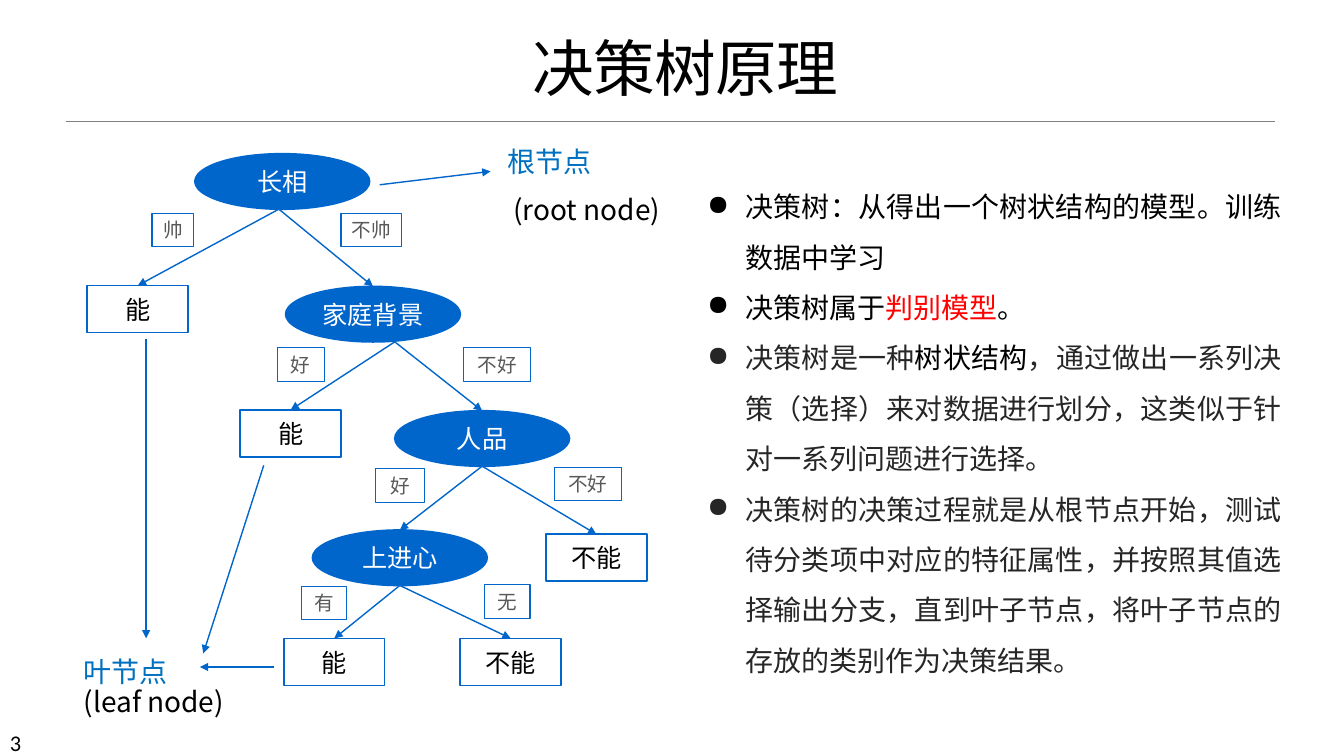
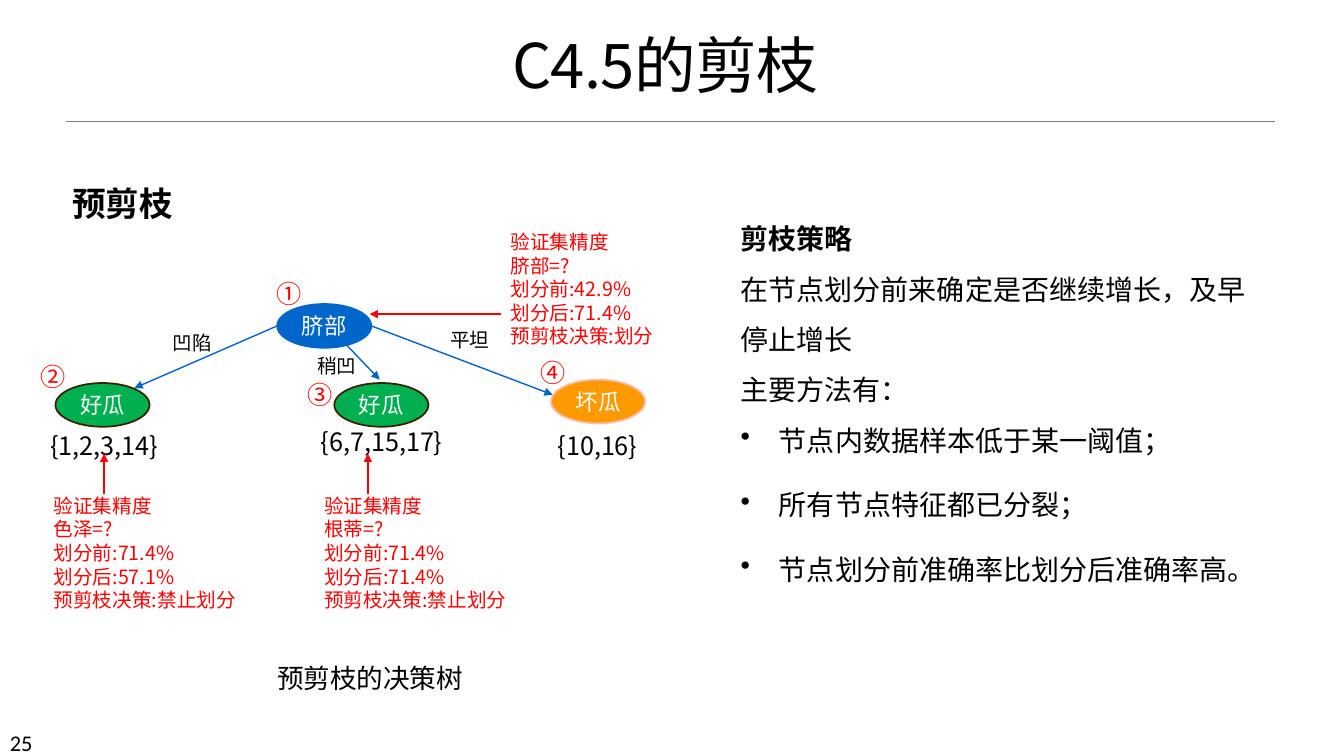
import lxml.etree
import pptx
import pptx.dml.color
import pptx.enum.shapes
import pptx.enum.text
import pptx.oxml.ns
import pptx.util

COLS, ROWS = 80, 45
CELL = pptx.util.Pt(12)
FONT, NUMBER_FONT = "Noto Sans CJK SC", "Calibri"
BLUE, SKY, GREEN, ORANGE = "0066CC", "0070C0", "00B050", "FF9900"
BROWN, PEACH, RED = "392104", "FBBCA3", "FF0000"
BLACK, INK, GREY, RULE, WHITE = "000000", "262626", "595959", "808080", "FFFFFF"

SHAPE = pptx.enum.shapes.MSO_SHAPE
ALIGN = pptx.enum.text.PP_ALIGN
ANCHOR = pptx.enum.text.MSO_ANCHOR
CENTER, JUSTIFY = ALIGN.CENTER, ALIGN.JUSTIFY


def grid(*cells):
    """Turn counts of grid cells into lengths."""
    return [round(n * CELL) for n in cells]


def rgb(color):
    return pptx.dml.color.RGBColor.from_string(color)


def sub(parent, tag, **attrs):
    return lxml.etree.SubElement(parent, pptx.oxml.ns.qn(tag), attrs)


def set_bullet(p, char):
    pPr = p._p.get_or_add_pPr()
    hang = pptx.util.Inches(0.38)
    pPr.set("marL", str(hang))
    pPr.set("indent", str(-hang))
    sub(pPr, "a:buChar", char=char)


def write(tf, text, size=20, color=BLACK, bold=False, font=FONT, align=None,
          leading=None, before=None, after=None, bullet=None, left=None, tracking=None):
    """Add one paragraph per line; text may also be one paragraph of (text, colour) runs."""
    lines = text.split("\n") if isinstance(text, str) else [text]
    for line in lines:
        p = tf.paragraphs[0]
        if p.runs:
            p = tf.add_paragraph()
        if bullet:
            set_bullet(p, bullet)
        if left:
            p._p.get_or_add_pPr().set("marL", str(pptx.util.Inches(left)))
        p.alignment, p.line_spacing = align, leading
        if before:
            p.space_before = pptx.util.Pt(before)
        if after:
            p.space_after = pptx.util.Pt(after)
        for words, tint in [(line, color)] if isinstance(line, str) else line:
            r = p.add_run()
            r.text = words
            r.font.size = pptx.util.Pt(size)
            r.font.bold = bold
            r.font.color.rgb = rgb(tint)
            r.font.name = font
            rPr = r._r.get_or_add_rPr()
            sub(rPr, "a:ea", typeface=font)
            if tracking:
                rPr.set("spc", str(round(tracking * 100)))


def text_box(s, x, y, w, h, text=None, **fmt):
    tf = s.shapes.add_textbox(*grid(x, y, w, h)).text_frame
    tf.word_wrap = True
    if text:
        write(tf, text, **fmt)
    return tf


def shape(s, kind, cx, cy, w, h, text, fill=None, line=BLUE, width=1.25, **fmt):
    """Add a centred, labelled shape around the point (cx, cy)."""
    sp = s.shapes.add_shape(kind, *grid(cx - w / 2, cy - h / 2, w, h))
    sp.shadow.inherit = False
    if fill:
        sp.fill.solid()
        sp.fill.fore_color.rgb = rgb(fill)
    else:
        sp.fill.background()
    sp.line.color.rgb = rgb(line)
    sp.line.width = pptx.util.Pt(width)
    tf = sp.text_frame
    tf.vertical_anchor = ANCHOR.MIDDLE
    tf.word_wrap = True
    write(tf, text, align=CENTER, **fmt)


def line(s, x1, y1, x2, y2, color=BLUE, width=1, arrow=True):
    c = s.shapes.add_connector(pptx.enum.shapes.MSO_CONNECTOR.STRAIGHT, *grid(x1, y1, x2, y2))
    c.line.color.rgb = rgb(color)
    c.line.width = pptx.util.Pt(width)
    spPr = c._element.spPr
    if arrow:
        sub(spPr.find(pptx.oxml.ns.qn("a:ln")), "a:tailEnd", type="triangle")
    sub(spPr, "a:effectLst")


def new_slide(prs, title, box, number):
    """Start a slide with its title, the rule below it and the page number."""
    s = prs.slides.add_slide(prs.slide_layouts[5])
    sp = s.shapes.title
    sp.left, sp.top, sp.width, sp.height = grid(*box)
    tf = sp.text_frame
    tf.auto_size = pptx.enum.text.MSO_AUTO_SIZE.NONE
    tf.vertical_anchor = ANCHOR.BOTTOM
    write(tf, title, size=44, align=CENTER, leading=0.85, tracking=-0.5)
    line(s, 3.9, 7.2, 75.9, 7.2, color=RULE, width=0.5, arrow=False)
    text_box(s, 0, 43.1, 7, 1.8, str(number), size=16, font=NUMBER_FONT)
    return s


def decision_tree(s):
    test_w, test_h, leaf_w, leaf_h = 10.4, 3.3, 6, 2.8
    # name: text, centre x, centre y, x where its branches fork
    tests = {
        "looks": ("长相", 16.8, 10.8, 16.6),
        "family": ("家庭背景", 22.2, 18.7, 23.5),
        "character": ("人品", 28.7, 26.1, 28.7),
        "ambition": ("上进心", 23.8, 33.2, 23.8),
    }
    leaves = {
        "plain yes": ("能", 8.2, 18.4),
        "family yes": ("能", 17.3, 25.8),
        "character no": ("不能", 35.5, 33.2),
        "ambition yes": ("能", 19.9, 39.4),
        "ambition no": ("不能", 30.4, 39.4),
    }
    # parent, child, answer, centre x and y of the answer, its width
    branches = [
        ("looks", "plain yes", "帅", 10.3, 13.7, 2.5),
        ("looks", "family", "不帅", 22.1, 13.7, 3.6),
        ("family", "family yes", "好", 17.9, 21.7, 2.8),
        ("family", "character", "不好", 29.6, 21.7, 4),
        ("character", "ambition", "好", 23.8, 28.9, 2.9),
        ("character", "character no", "不好", 35, 28.8, 4),
        ("ambition", "ambition yes", "有", 19.3, 35.9, 2.7),
        ("ambition", "ambition no", "无", 30.2, 35.8, 2.7),
    ]
    for text, x, y, _ in tests.values():
        shape(s, SHAPE.OVAL, x, y, test_w, test_h, text, fill=BLUE, size=18, color=WHITE)
    for text, x, y in leaves.values():
        shape(s, SHAPE.RECTANGLE, x, y, leaf_w, leaf_h, text, fill=WHITE, size=18)
    for parent, child, answer, x, y, w in branches:
        _, _, parent_y, fork_x = tests[parent]
        child_x, child_y = (tests.get(child) or leaves[child])[1:3]
        child_h = test_h if child in tests else leaf_h
        line(s, fork_x, parent_y + test_h / 2, child_x, child_y - child_h / 2)
        shape(s, SHAPE.RECTANGLE, x, y, w, 2, answer, width=0.75, size=14, color=GREY)


def principle_slide(prs):
    s = new_slide(prs, "决策树原理", (3, 2, 75.6, 4.5), 3)
    decision_tree(s)
    for ends in [(22.6, 11, 29.2, 10.2), (8.7, 20.2, 8.7, 38),
                 (15.7, 27.7, 12.1, 38.9), (16.3, 39.7, 11.9, 39.7)]:
        line(s, *ends)

    tf = text_box(s, 29.6, 8.3, 11.2, 5.6, "根节点", color=SKY)
    write(tf, "(root node)", before=10, left=0.06)
    tf = text_box(s, 4.4, 39.5, 12, 3.8, "叶节点", color=SKY, leading=0.5)
    write(tf, "(leaf node)", before=10, leading=0.5)

    tf = text_box(s, 41.5, 10, 35.4, 30.6)
    for runs in [
        [("决策树：从得出一个树状结构的模型。训练数据中学习", BLACK)],
        [("决策树属于", BLACK), ("判别模型", RED), ("。", BLACK)],
        [("决策树是一种", INK), ("树状结构", BLACK),
         ("，通过做出一系列决策（选择）来对数据进行划分，这类似于针对一系列问题进行选择。", INK)],
        [("决策树的决策过程就是从根节点开始，测试待分类项中对应的特征属性，"
          "并按照其值选择输出分支，直到叶子节点，将叶子节点的存放的类别作为决策结果。", INK)],
    ]:
        write(tf, runs, align=JUSTIFY, leading=1.5, bullet="●")


def accuracy_note(s, x, y, w, feature, before, after, decision):
    text = f"验证集精度\n{feature}=?\n划分前:{before}%\n划分后:{after}%\n预剪枝决策:{decision}"
    text_box(s, x, y, w, 7.7, text, size=14, color=RED)


def pruning_slide(prs):
    s = new_slide(prs, "C4.5的剪枝", (2.3, 1.4, 74.6, 4.9), 25)
    text_box(s, 3.7, 9.4, 7.5, 3.7, "预剪枝", size=24, bold=True, leading=1.5)

    for ends in [(16.5, 19.4, 8, 23.1), (22.1, 19.4, 32.9, 23.5), (18.4, 18.2, 22.6, 22.6)]:
        line(s, *ends)
    for text, x, y, fill, edge in [
        ("脐部", 19.3, 19.4, BLUE, BLUE),
        ("好瓜", 6.1, 24.1, GREEN, BROWN),
        ("好瓜", 22.7, 24.1, GREEN, BROWN),
        ("坏瓜", 35.6, 23.9, ORANGE, PEACH),
    ]:
        shape(s, SHAPE.OVAL, x, y, 5.6, 2.6, text, fill=fill, line=edge, size=16, color=WHITE)
    for text, x, y in [("凹陷", 9.7, 19.4), ("稍凹", 18.3, 20.8), ("平坦", 26.2, 19.2)]:
        text_box(s, x, y, 4.2, 2, text, size=14)
    for text, x, y in [("①", 15.9, 16.3), ("②", 1.8, 21.2), ("③", 17.7, 22.3), ("④", 31.6, 21)]:
        text_box(s, x, y, 4.2, 2.4, text, size=18, color=RED)
    for text, x, y in [("{1,2,3,14}", 2.4, 25.3), ("{6,7,15,17}", 18.5, 25.1),
                       ("{10,16}", 32.6, 25.3)]:
        text_box(s, x, y, 11.5, 2.4, text, size=18)

    accuracy_note(s, 29.8, 13.4, 10, "脐部", 42.9, 71.4, "划分")
    accuracy_note(s, 18.7, 29.1, 12.8, "根蒂", 71.4, 71.4, "禁止划分")
    accuracy_note(s, 2.6, 29.1, 12.8, "色泽", 71.4, 57.1, "禁止划分")
    for ends in [(29.8, 18.7, 22, 18.7), (21.9, 29.4, 21.9, 27), (6.2, 29.4, 6.2, 27)]:
        line(s, *ends, color=RED)
    text_box(s, 15.9, 39.1, 12.8, 2.5, "预剪枝的决策树", size=19)

    tf = text_box(s, 43.5, 11.9, 31.8, 23.2, "剪枝策略", bold=True, leading=1.5)
    write(tf, "在节点划分前来确定是否继续增长，及早停止增长\n主要方法有：", leading=1.5)
    write(tf, "节点内数据样本低于某一阈值；\n所有节点特征都已分裂；\n节点划分前准确率比划分后准确率高。",
          leading=1.5, after=10, bullet="•")


def main():
    prs = pptx.Presentation()
    prs.slide_width, prs.slide_height = grid(COLS, ROWS)
    principle_slide(prs)
    pruning_slide(prs)
    prs.save("out.pptx")


if __name__ == "__main__":
    main()
